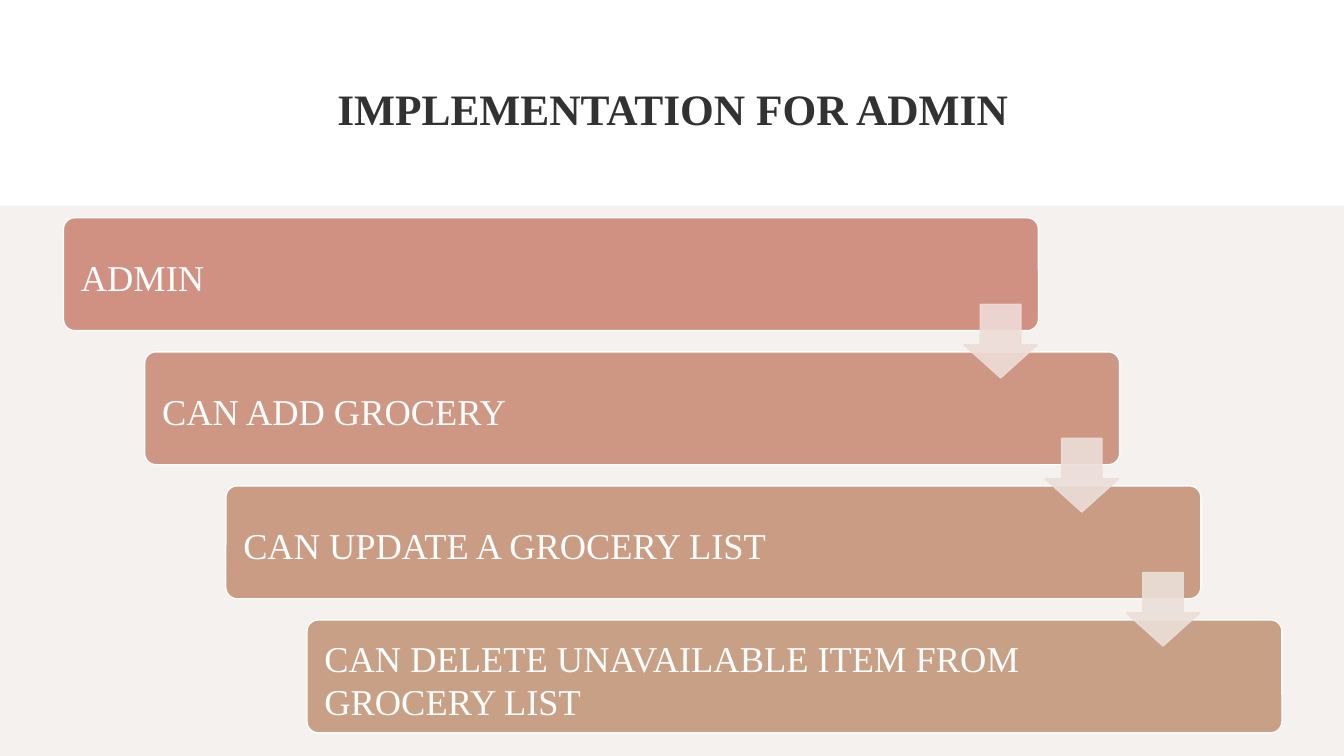
from lxml import etree
from pptx import Presentation
from pptx.dml.color import RGBColor
from pptx.enum import shapes, text
from pptx.oxml import ns
from pptx.util import Inches, Pt

WHITE = RGBColor(0xFF, 0xFF, 0xFF)
INK = RGBColor(0x32, 0x32, 0x32)
SAND = RGBColor(0xF4, 0xF1, 0xEF)
STEPS = [
    ("ADMIN", RGBColor(0xD0, 0x91, 0x82)),
    ("CAN ADD GROCERY", RGBColor(0xCD, 0x97, 0x83)),
    ("CAN UPDATE A GROCERY LIST", RGBColor(0xCA, 0x9C, 0x84)),
    ("CAN DELETE UNAVAILABLE ITEM FROM GROCERY LIST", RGBColor(0xC7, 0xA0, 0x85)),
]
ARROW_COLORS = [
    RGBColor(0xEE, 0xDC, 0xD8),
    RGBColor(0xEC, 0xDE, 0xD9),
    RGBColor(0xEB, 0xDF, 0xD9),
]
FONT = "Times New Roman"
STEP_X, STEP_Y = 0.805, 1.33


def add_filled(page, kind, left, top, width, height, color, line=None):
    """Add a flat preset shape with an optional one-point outline."""
    shape = page.shapes.add_shape(
        kind, Inches(left), Inches(top), Inches(width), Inches(height)
    )
    shape.shadow.inherit = False
    shape.fill.solid()
    shape.fill.fore_color.rgb = color
    if line is None:
        shape.line.fill.background()
    else:
        shape.line.color.rgb = line
        shape.line.width = Pt(1)
    return shape


def add_span(para, words, size, color, bold=False):
    """Add one styled run to a paragraph."""
    span = para.add_run()
    span.text = words
    span.font.name = FONT
    span.font.size = Pt(size)
    span.font.bold = bold
    span.font.color.rgb = color


def add_title(page, words):
    """Add the centred slide title."""
    box = page.shapes.add_textbox(
        Inches(1.56), Inches(0.77), Inches(10.22), Inches(1.09)
    )
    frame = box.text_frame
    frame.word_wrap = True
    frame.vertical_anchor = text.MSO_ANCHOR.TOP
    frame.margin_top = Inches(0.1)
    para = frame.paragraphs[0]
    para.alignment = text.PP_ALIGN.CENTER
    para.line_spacing = 0.9
    add_span(para, words, 31, INK, bold=True)


def add_step(page, index, words, color):
    """Add one rounded bar of the staircase with its label."""
    bar = add_filled(
        page, shapes.MSO_SHAPE.ROUNDED_RECTANGLE,
        0.63 + index * STEP_X, 2.16 + index * STEP_Y, 9.67, 1.12, color, WHITE,
    )
    bar.adjustments[0] = 0.1
    frame = bar.text_frame
    frame.word_wrap = True
    frame.vertical_anchor = text.MSO_ANCHOR.MIDDLE
    frame.margin_left = Inches(0.14)
    frame.margin_right = Inches(1.6)
    frame.margin_top = Inches(0.12)
    frame.margin_bottom = Inches(0.06)
    para = frame.paragraphs[0]
    para.alignment = text.PP_ALIGN.LEFT
    add_span(para, words, 26, WHITE)


def add_arrow(page, index, color):
    """Add a translucent arrow leading down to the next bar."""
    arrow = add_filled(
        page, shapes.MSO_SHAPE.DOWN_ARROW,
        9.56 + index * STEP_X, 3.02 + index * STEP_Y, 0.73, 0.73, color, color,
    )
    arrow.adjustments[0] = 0.55
    arrow.adjustments[1] = 0.45
    for tint in arrow._element.spPr.iter(ns.qn("a:srgbClr")):
        etree.SubElement(tint, ns.qn("a:alpha"), val="90000")


def main():
    """Build and save the slide."""
    deck = Presentation()
    deck.slide_width = Inches(13.33)
    deck.slide_height = Inches(7.5)
    page = deck.slides.add_slide(deck.slide_layouts[6])
    page.background.fill.solid()
    page.background.fill.fore_color.rgb = WHITE
    add_title(page, "IMPLEMENTATION FOR ADMIN")
    add_filled(page, shapes.MSO_SHAPE.RECTANGLE, 0, 2.04, 13.33, 5.46, SAND)
    for index, (words, color) in enumerate(STEPS):
        add_step(page, index, words, color)
    for index, color in enumerate(ARROW_COLORS):
        add_arrow(page, index, color)
    deck.save("out.pptx")


if __name__ == "__main__":
    main()
